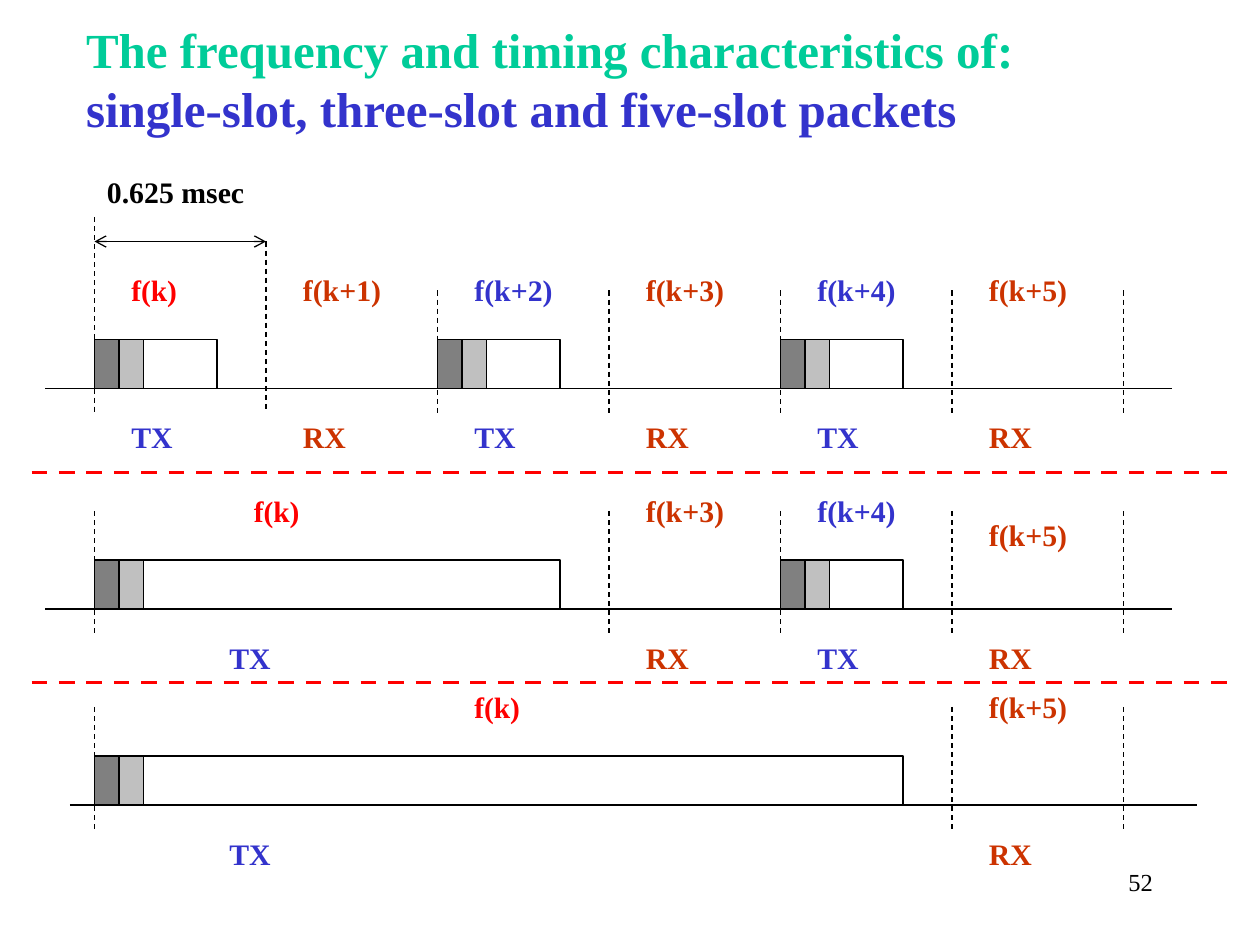
from lxml import etree
from pptx import Presentation
from pptx.dml.color import RGBColor
from pptx.enum.dml import MSO_LINE
from pptx.enum.shapes import MSO_CONNECTOR, MSO_SHAPE
from pptx.enum.text import MSO_ANCHOR, MSO_AUTO_SIZE, PP_ALIGN
from pptx.oxml.ns import qn
from pptx.util import Pt

RECT, LINE, DASH = MSO_SHAPE.RECTANGLE, MSO_CONNECTOR.STRAIGHT, MSO_LINE.DASH
LEFT, RIGHT = PP_ALIGN.LEFT, PP_ALIGN.RIGHT
TOP, MIDDLE = MSO_ANCHOR.TOP, MSO_ANCHOR.MIDDLE

PX = 6350  # 144 px to the inch
THEME = {
    "font": "Times New Roman",
    "black": "000000", "white": "FFFFFF", "dark": "808080", "light": "C0C0C0",
    "red": "FF0000", "blue": "3333CC", "rust": "CC3300", "green": "00CC99",
    "title": 28, "label": 17, "first": 16.8, "page": 14,
    "thin": 0.75, "edge": 1, "thick": 2.25,
}

deck = Presentation()
deck.slide_width, deck.slide_height = 1440 * PX, 1080 * PX
slide = deck.slides.add_slide(deck.slide_layouts[5])
shapes = slide.shapes


def box(x, y, w, h, fill="white", edge=None, runs=(), size="label", bold=True,
        align=LEFT, anchor=TOP, shape=None):
    """Fill a rectangle, or the given shape, and add its runs of text."""
    if shape is None:
        shape = shapes.add_shape(RECT, 0, 0, 0, 0)
        shape.shadow.inherit = False
        shape.fill.solid()
        shape.fill.fore_color.rgb = RGBColor.from_string(THEME[fill])
        if edge:
            shape.line.color.rgb = RGBColor.from_string(THEME["black"])
            shape.line.width = Pt(THEME[edge])
        else:
            shape.line.fill.background()
    shape.left, shape.top, shape.width, shape.height = (v * PX for v in (x, y, w, h))
    if runs:
        frame = shape.text_frame
        frame.word_wrap = True
        frame.auto_size = MSO_AUTO_SIZE.NONE
        frame.vertical_anchor = anchor
        para = frame.paragraphs[0]
        para.alignment = align
        for text, tone in runs:
            run = para.add_run()
            run.text = text
            run.font.name = THEME["font"]
            run.font.size = Pt(THEME[size])
            run.font.bold = bold
            run.font.color.rgb = RGBColor.from_string(THEME[tone])


def rule(x1, y1, x2, y2, tone="black", width="thin", dash=None, arrows=False):
    """Draw a straight line, dashed or with open arrowheads if asked."""
    line = shapes.add_connector(LINE, x1 * PX, y1 * PX, x2 * PX, y2 * PX)
    line.line.color.rgb = RGBColor.from_string(THEME[tone])
    line.line.width = Pt(THEME[width])
    if dash:
        line.line.dash_style = dash
    props = line._element.spPr
    if arrows:
        for end in ("a:headEnd", "a:tailEnd"):
            etree.SubElement(props.find(qn("a:ln")), qn(end), type="arrow")
    etree.SubElement(props, qn("a:effectLst"))


# Title and page number
box(84, 0, 1236, 180, size="title", anchor=MIDDLE, shape=shapes.title, runs=[
    ("The frequency and timing characteristics of: ", "green"),
    ("single-slot, three-slot and five-slot packets", "blue")])
box(1032, 984, 300, 72, size="page", bold=False, align=RIGHT,
    shape=shapes.add_textbox(0, 0, 0, 0), runs=[("52", "black")])

# Timelines: base, axis start, first packet's slots, starting slots,
# and shifts of the first frequency and TX labels
ORIGIN, SLOT, UNIT = 108, 196, 28
ROWS = [
    (444, 52, 1, (0, 1, 2, 3, 4, 5), 0, 0),
    (696, 52, 3, (0, 3, 4, 5), 140, 112),
    (920, 80, 5, (0, 5), 392, 112),
]
LIFTS = {(1, 0): 84, (1, 1): 56}  # taller marks, by packet slots and slot

for base, start, span, slots, fshift, tshift in ROWS:
    # Packets, with access code and header cells
    for slot in slots:
        if slot % 2 == 0:
            x, y = ORIGIN + slot * SLOT, base - 56
            extra = (span - 1) * SLOT if slot == 0 else 0
            box(x, y, 140 + extra, 56, edge="edge")
            box(x, y, UNIT, 56, "dark", "thin")
            box(x + UNIT, y, UNIT, 56, "light", "thin")

    # Axis and slot marks
    rule(start, base, start + 1288, base)
    for slot in slots + (6,):
        x = ORIGIN + slot * SLOT
        rule(x, base - 112 - LIFTS.get((span, slot), 0), x, base + 28, dash=DASH)

    # Frequency and direction labels
    for slot in slots:
        x, y = ORIGIN + UNIT + slot * SLOT, base - 140
        way, tone = ("RX", "rust") if slot % 2 else ("TX", "blue")
        if slot == 0:
            box(x + fshift, y, 112, 56, size="first", runs=[("f(k)", "red")])
        else:
            drop = UNIT if (span, slot) == (3, 5) else 0
            box(x, y + drop, 140, 56, runs=[(f"f(k+{slot})", tone)])
        box(x + (0 if slot else tshift), base + 28, 112, 56, runs=[(way, tone)])

# Slot length
box(ORIGIN, 192, 224, 56, runs=[("0.625 msec", "black")])
rule(ORIGIN, 276, ORIGIN + SLOT, 276, arrows=True)

# Dividers between the timelines
for y in (540, 780):
    rule(36, y, 1404, y, "red", "thick", DASH)

deck.save("out.pptx")
